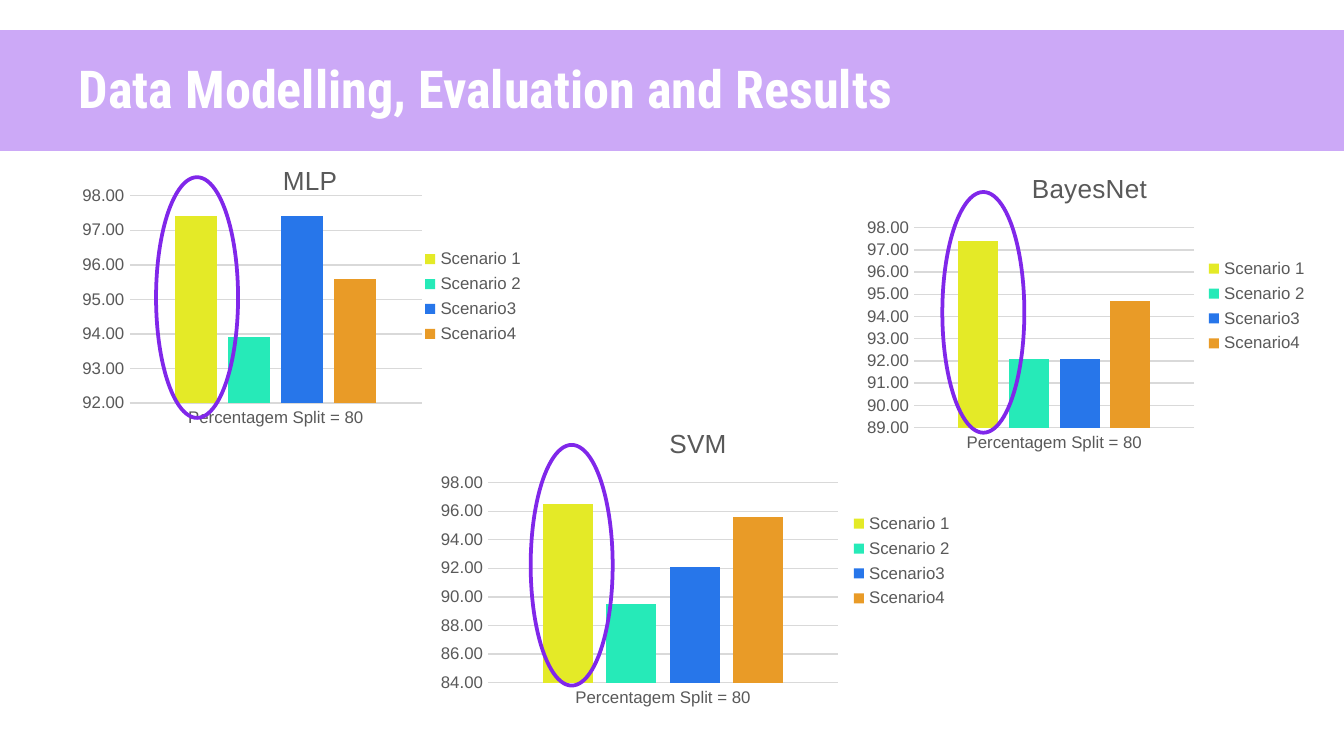
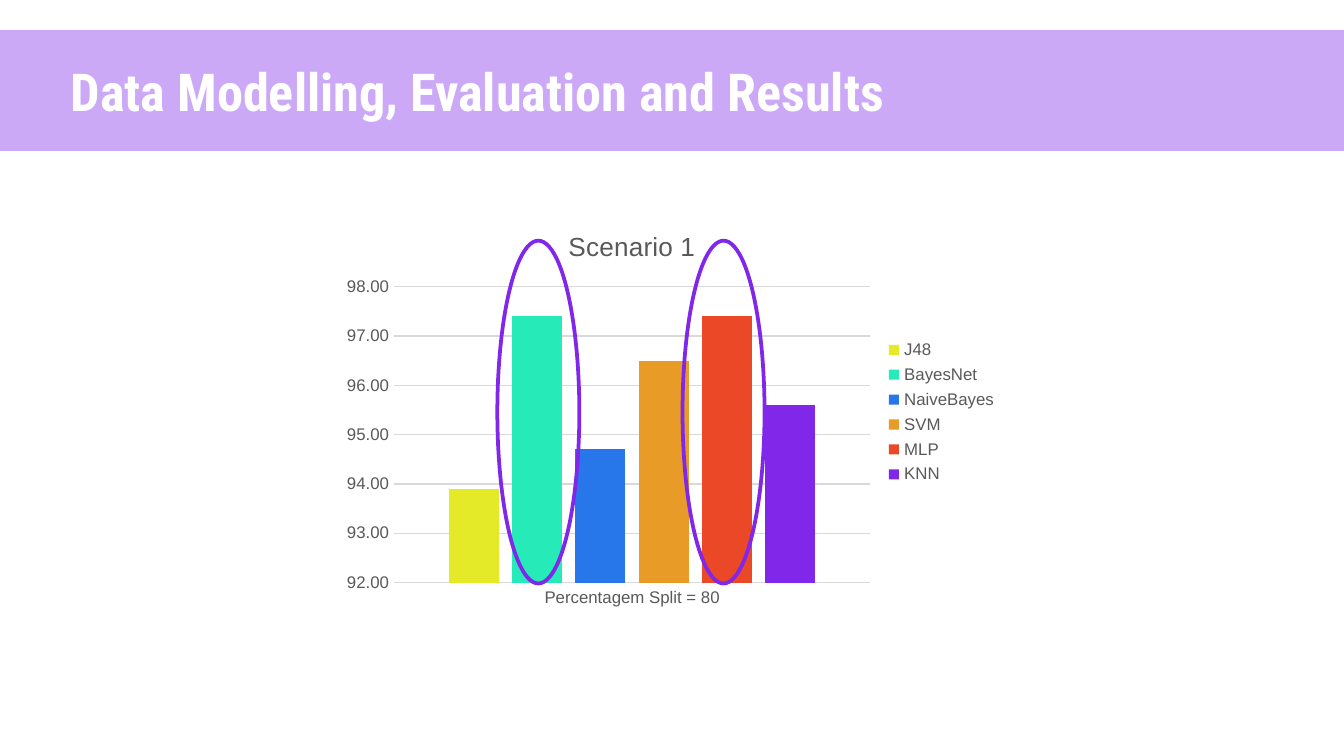
"""Builds two slides that compare classifier accuracy with column charts."""
from pptx import Presentation
from pptx.chart.data import CategoryChartData
from pptx.dml.color import RGBColor
from pptx.enum.chart import XL_CHART_TYPE as ChartType
from pptx.enum.chart import XL_LEGEND_POSITION as LegendPosition
from pptx.enum.chart import XL_TICK_MARK as TickMark
from pptx.enum.shapes import MSO_SHAPE as Shape
from pptx.enum.text import MSO_ANCHOR as Anchor
from pptx.enum.text import MSO_AUTO_SIZE as AutoSize
from pptx.enum.text import PP_ALIGN as Align
from pptx.oxml import parse_xml
from pptx.oxml.ns import nsdecls, qn
from pptx.util import Cm, Pt

WHITE = RGBColor(0xFF, 0xFF, 0xFF)
LILAC = RGBColor(0xCC, 0xA9, 0xF7)
PURPLE = RGBColor(0x80, 0x27, 0xEA)
GRAY = RGBColor(0x59, 0x59, 0x59)
LIGHT_GRAY = RGBColor(0xD9, 0xD9, 0xD9)
SERIES_COLORS = [
    RGBColor(0xE4, 0xEA, 0x27),
    RGBColor(0x26, 0xEA, 0xB8),
    RGBColor(0x27, 0x76, 0xEA),
    RGBColor(0xE9, 0x9B, 0x27),
    RGBColor(0xEA, 0x48, 0x27),
    PURPLE,
]
TITLE_FONT = "Roboto Condensed"
CHART_FONT = "Arial"
TITLE = "Data Modelling, Evaluation and Results"
CATEGORY = "Percentagem Split = 80"
SCENARIOS = ["Scenario 1", "Scenario 2", "Scenario3", "Scenario4"]
CLASSIFIERS = ["J48", "BayesNet", "NaiveBayes", "SVM", "MLP", "KNN"]


class SlideBuilder:
    """Holds the deck style and the slide being built."""

    def __init__(self):
        self.deck = Presentation()
        self.deck.slide_width = Cm(25.4)
        self.deck.slide_height = Cm(14.29)
        self.slide = None

    def start(self, left, top):
        """Adds a slide with the band and its title at the given place."""
        self.slide = self.deck.slides.add_slide(self.deck.slide_layouts[5])
        self.band()
        self.title(left, top)

    def band(self):
        """Draws the title band behind everything else."""
        band = self.slide.shapes.add_shape(
            Shape.RECTANGLE, Cm(0), Cm(0.61), self.deck.slide_width, Cm(2.21))
        band.shadow.inherit = False
        band.fill.solid()
        band.fill.fore_color.rgb = LILAC
        self.line(band.line, LILAC, 2)
        self.slide.shapes.element.insert(2, band.element)

    def title(self, left, top):
        """Places and formats the title placeholder."""
        box = self.slide.shapes.title
        box.left, box.top, box.width, box.height = Cm(left), Cm(top), Cm(22.86), Cm(1.04)
        frame = box.text_frame
        frame.text = TITLE
        frame.word_wrap = True
        frame.auto_size = AutoSize.NONE
        frame.vertical_anchor = Anchor.MIDDLE
        frame.margin_left = frame.margin_right = Cm(0.25)
        frame.margin_top = frame.margin_bottom = Cm(0.25)
        para = frame.paragraphs[0]
        para.alignment = Align.CENTER
        self.font(para.runs[0].font, 28, WHITE, TITLE_FONT, True)

    def font(self, font, size, color=GRAY, name=CHART_FONT, bold=False):
        """Formats a font."""
        font.size, font.name, font.bold = Pt(size), name, bold
        font.color.rgb = color

    def line(self, line, color, width):
        """Formats a line."""
        line.color.rgb = color
        line.width = Pt(width)

    def highlight(self, left, top, height=4.55):
        """Rings a column."""
        ring = self.slide.shapes.add_shape(
            Shape.OVAL, Cm(left), Cm(top), Cm(1.55), Cm(height))
        ring.shadow.inherit = False
        ring.fill.background()
        self.line(ring.line, PURPLE, 2)

    def chart(self, title, names, values, area, scale):
        """Adds a column chart with one series per name and returns it."""
        data = CategoryChartData(number_format="0.00")
        data.categories = [CATEGORY]
        for name, value in zip(names, values):
            data.add_series(name, [value])
        chart = self.slide.shapes.add_chart(
            ChartType.COLUMN_CLUSTERED, *map(Cm, area), data).chart
        self.font(chart.font, 10)
        chart.has_title = True
        frame = chart.chart_title.text_frame
        frame.text = title
        self.font(frame.paragraphs[0].runs[0].font, 14)
        chart.has_legend = True
        chart.legend.position = LegendPosition.RIGHT
        chart.legend.include_in_layout = False
        self.font(chart.legend.font, 9)
        plot = chart.plots[0]
        plot.gap_width, plot.overlap, plot.vary_by_categories = 219, -27, False
        for series, color in zip(plot.series, SERIES_COLORS):
            series.format.fill.solid()
            series.format.fill.fore_color.rgb = color
        self.axes(chart, *scale)
        return chart

    def axes(self, chart, minimum, maximum, step):
        """Formats both axes and the gridlines."""
        for axis in (chart.category_axis, chart.value_axis):
            axis.major_tick_mark = axis.minor_tick_mark = TickMark.NONE
            self.font(axis.tick_labels.font, 9)
        self.line(chart.category_axis.format.line, LIGHT_GRAY, 0.75)
        axis = chart.value_axis
        axis.minimum_scale, axis.maximum_scale, axis.major_unit = minimum, maximum, step
        axis.format.line.fill.background()
        axis.tick_labels.number_format = "0.00"
        axis.tick_labels.number_format_is_linked = False
        axis.has_major_gridlines = True
        self.line(axis.major_gridlines.format.line, LIGHT_GRAY, 0.75)

    def manual_layout(self, owner, index, target, *fractions):
        """Gives a chart part a fixed place as fractions of the chart."""
        for layout in owner.findall(qn("c:layout")):
            owner.remove(layout)
        places = "".join(f'<c:{tag} val="{value}"/>'
                         for tag, value in zip("xywh", fractions))
        owner.insert(index, parse_xml(
            f'<c:layout {nsdecls("c")}><c:manualLayout>{target}'
            f'<c:xMode val="edge"/><c:yMode val="edge"/>{places}'
            f'</c:manualLayout></c:layout>'))

    def place_plot(self, chart, left, top, width, height):
        """Fixes the inner plot area."""
        plot_area = chart.element.find(".//" + qn("c:plotArea"))
        self.manual_layout(plot_area, 0, '<c:layoutTarget val="inner"/>',
                           left, top, width, height)

    def place_title(self, chart, left, top):
        """Fixes the top left corner of the chart title."""
        title = chart.element.find(".//" + qn("c:title"))
        self.manual_layout(title, 1, "", left, top)


def main():
    """Builds and saves the deck."""
    builder = SlideBuilder()

    builder.start(-2.26, 1.14)
    mlp = builder.chart("MLP", SCENARIOS, [97.4, 93.9, 97.4, 95.6],
                        (1.4, 2.72, 8.76, 5.77), (92, 98, 1))
    builder.place_plot(mlp, 0.12, 0.17, 0.63, 0.68)
    builder.place_title(mlp, 0.44, 0.05)
    builder.highlight(2.95, 3.35)
    builder.chart("SVM", SCENARIOS, [96.5, 89.5, 92.1, 95.6],
                  (8.13, 7.72, 10.13, 5.77), (84, 98, 2))
    builder.highlight(10.03, 8.41)
    builder.chart("BayesNet", SCENARIOS, [97.4, 92.1, 92.1, 94.7],
                  (16.21, 2.9, 8.76, 5.77), (89, 98, 1))
    builder.highlight(17.81, 3.63)

    builder.start(-2.41, 1.19)
    comparison = builder.chart("Scenario 1", CLASSIFIERS,
                               [93.9, 97.4, 94.7, 96.5, 97.4, 95.6],
                               (6.3, 3.94, 12.8, 7.7), (92, 98, 1))
    builder.place_title(comparison, 0.34, 0.04)
    for left in (9.4, 12.9):
        builder.highlight(left, 4.55, 6.48)

    builder.deck.save("out.pptx")


if __name__ == "__main__":
    main()
